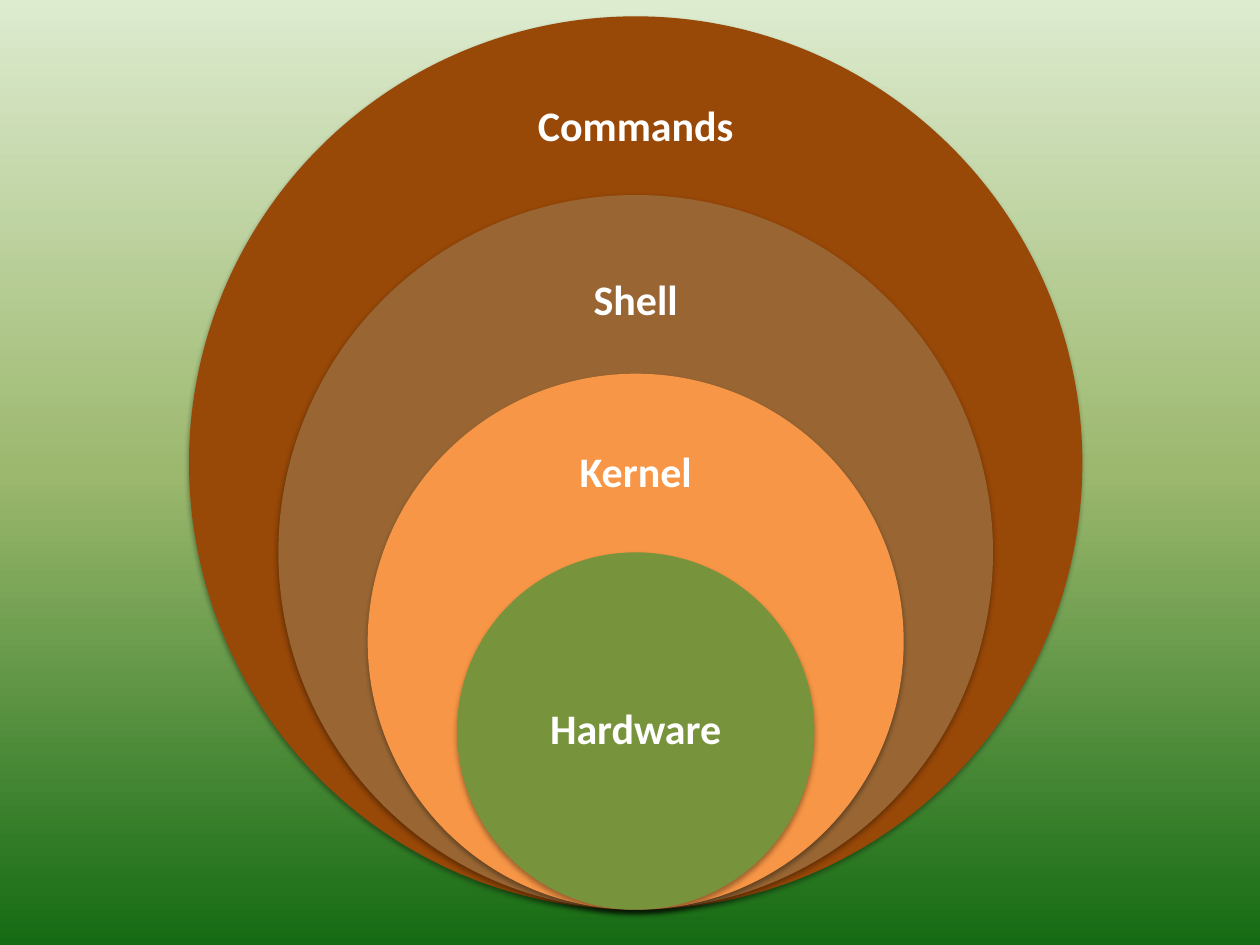
import copy

import lxml.etree
import pptx
import pptx.dml.color
import pptx.enum.shapes
import pptx.enum.text
import pptx.oxml
import pptx.oxml.ns
import pptx.util

Inches = pptx.util.Inches
Pt = pptx.util.Pt
RGBColor = pptx.dml.color.RGBColor
qn = pptx.oxml.ns.qn

WHITE = RGBColor(0xFF, 0xFF, 0xFF)
BROWN = RGBColor(0x98, 0x48, 0x07)
TAN = RGBColor(0x99, 0x66, 0x33)
ORANGE = RGBColor(0xF7, 0x96, 0x46)
OLIVE = RGBColor(0x77, 0x93, 0x3C)
BACKGROUND_STOPS = [
    (0, RGBColor(0xDD, 0xEB, 0xCF)),
    (0.5, RGBColor(0x9C, 0xB8, 0x6E)),
    (1, RGBColor(0x15, 0x6B, 0x13)),
]

# Name, fill, diameter share, label top and height as shares of the diameter
LAYERS = [
    ("Commands", BROWN, 1, 0.05, 0.15),
    ("Shell", TAN, 0.8, 0.06, 0.18),
    ("Kernel", ORANGE, 0.6, 0.075, 0.225),
    ("Hardware", OLIVE, 0.4, 0.25, 0.5),
]
LABEL_WIDTH = 1.98
LABEL_INSET = 0.19


def paint_background(slide):
    fill = slide.background.fill
    fill.gradient()
    fill.gradient_angle = 270
    stop_list = slide.element.find(".//" + qn("a:gsLst"))
    stop_list.insert(1, copy.deepcopy(stop_list[0]))
    for stop, (position, color) in zip(fill.gradient_stops, BACKGROUND_STOPS):
        stop.position = position
        stop.color.rgb = color


def add_soft_shadow(shape):
    shape.shadow.inherit = False
    effects = shape.element.spPr.find(qn("a:effectLst"))
    shadow = lxml.etree.SubElement(
        effects, qn("a:outerShdw"), blurRad=str(Pt(3.1)), dist=str(Pt(1.8)),
        dir="5400000", rotWithShape="0")
    color = lxml.etree.SubElement(shadow, qn("a:srgbClr"), val="000000")
    lxml.etree.SubElement(color, qn("a:alpha"), val="35000")


def add_circle(slide, left, top, diameter, color):
    circle = slide.shapes.add_shape(
        pptx.enum.shapes.MSO_SHAPE.OVAL,
        Inches(left), Inches(top), Inches(diameter), Inches(diameter))
    circle.fill.solid()
    circle.fill.fore_color.rgb = color
    circle.line.fill.background()
    add_soft_shadow(circle)


def add_label(slide, left, top, width, height, text):
    label = slide.shapes.add_textbox(
        Inches(left), Inches(top), Inches(width), Inches(height))
    frame = label.text_frame
    frame.word_wrap = True
    frame.vertical_anchor = pptx.enum.text.MSO_ANCHOR.MIDDLE
    frame.margin_left = frame.margin_right = Inches(LABEL_INSET)
    frame.margin_top = frame.margin_bottom = Inches(LABEL_INSET)
    paragraph = frame.paragraphs[0]
    paragraph.alignment = pptx.enum.text.PP_ALIGN.CENTER
    paragraph.line_spacing = 0.9
    run = paragraph.add_run()
    run.text = text
    run.font.name = "Calibri"
    run.font.size = Pt(24)
    run.font.bold = True
    run.font.color.rgb = WHITE


def add_nested_circles(slide, left, top, size):
    center = left + size / 2
    bottom = top + size
    for name, color, share, label_top, label_height in LAYERS:
        diameter = size * share
        circle_top = bottom - diameter
        add_circle(slide, center - diameter / 2, circle_top, diameter, color)
        add_label(slide, center - LABEL_WIDTH / 2,
                  circle_top + diameter * label_top,
                  LABEL_WIDTH, diameter * label_height, name)


def main():
    presentation = pptx.Presentation()
    presentation.slide_width = Inches(10)
    presentation.slide_height = Inches(7.5)
    slide = presentation.slides.add_slide(presentation.slide_layouts[6])
    paint_background(slide)
    add_nested_circles(slide, 1.5, 0.13, 7.09)
    presentation.save("out.pptx")


if __name__ == "__main__":
    main()
